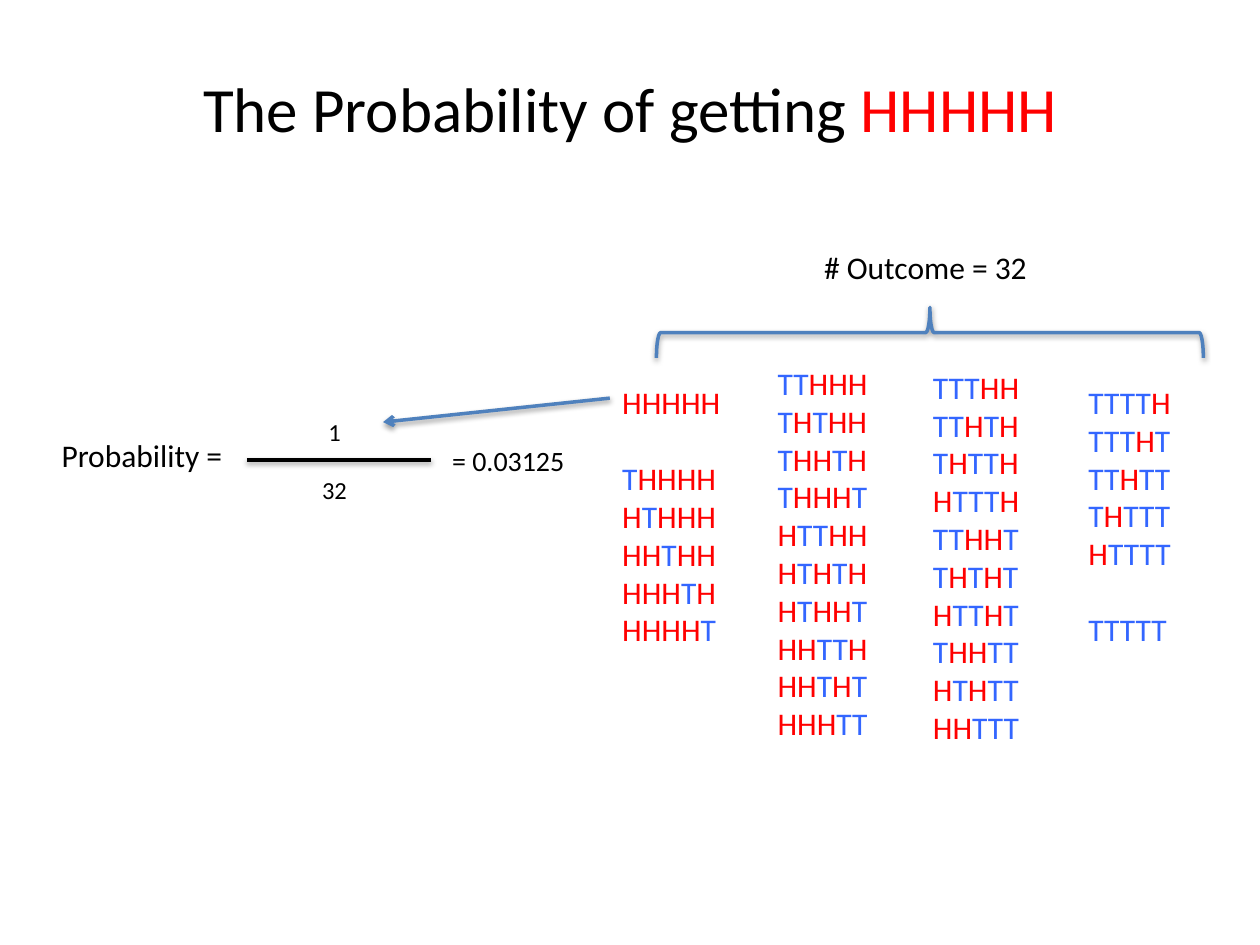
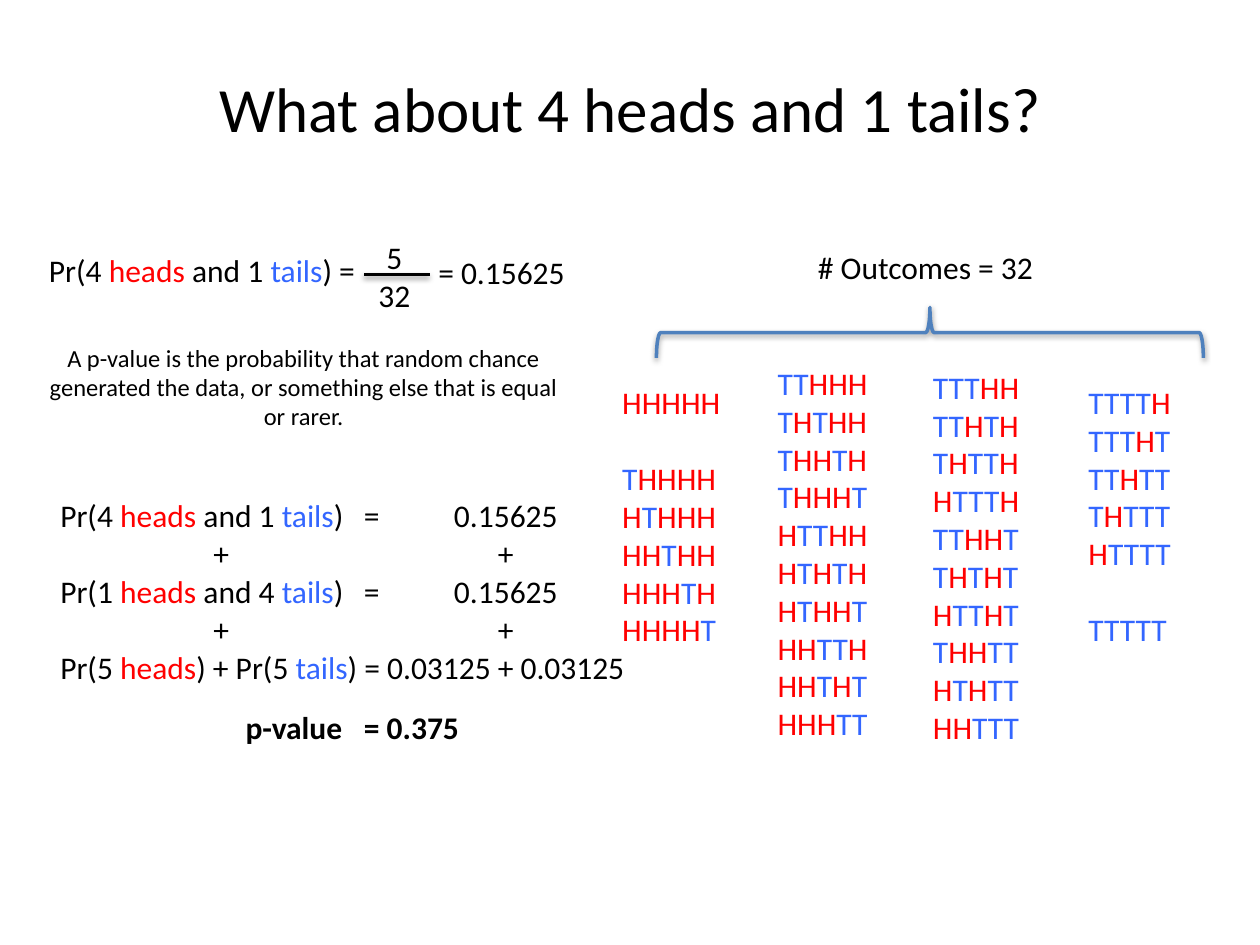
from itertools import groupby

from lxml.etree import SubElement
from pptx import Presentation
from pptx.dml.color import RGBColor
from pptx.enum.shapes import MSO_CONNECTOR, MSO_SHAPE
from pptx.enum.text import MSO_ANCHOR, PP_ALIGN
from pptx.oxml.ns import qn
from pptx.util import Inches, Pt

COLOURS = {"ink": "000000", "heads": "FF0000", "tails": "3366FF", "accent": "4F81BD"}
FONT = "Calibri"
COIN_SIDES = {"H": "heads", "T": "tails"}
SHADOW = {"blurRad": Pt(3.1), "dist": Pt(1.6), "dir": 90 * 60000, "rotWithShape": 0}

# Top of each column, then its groups of outcomes
OUTCOME_COLUMNS = [
    (2.99, ["HHHHH", "THHHH HTHHH HHTHH HHHTH HHHHT"]),
    (2.84, ["TTHHH THTHH THHTH THHHT HTTHH HTHTH HTHHT HHTTH HHTHT HHHTT"]),
    (2.87, ["TTTHH TTHTH THTTH HTTTH TTHHT THTHT HTTHT THHTT HTHTT HHTTT"]),
    (2.99, ["TTTTH TTTHT TTHTT THTTT HTTTT", "TTTTT"]),
]
FIRST_COLUMN = 4.84
COLUMN_STEP = 3.7 / 3
LINE_HEIGHT = 0.3


def colour(name):
    return RGBColor.from_string(COLOURS[name])


def coin_runs(outcome):
    """Split an outcome into runs of equal coin sides."""
    return [("".join(letters), COIN_SIDES[side]) for side, letters in groupby(outcome)]


def marked_runs(text):
    """Split text at bars; the parts named heads and tails take their colours."""
    return [(part, part if part in COIN_SIDES.values() else "ink")
            for part in text.split("|")]


def add_text(slide, box, paragraphs, size=18, align=PP_ALIGN.LEFT,
             anchor=MSO_ANCHOR.TOP, bold=False):
    """Add a text box; each paragraph is a list of (text, colour name) runs."""
    shape = slide.shapes.add_textbox(*map(Inches, box))
    frame = shape.text_frame
    frame.word_wrap = True
    frame.vertical_anchor = anchor
    font_format = {"name": FONT, "size": Pt(size), "bold": bold}
    for index, runs in enumerate(paragraphs):
        paragraph = frame.add_paragraph() if index else frame.paragraphs[0]
        paragraph.alignment = align
        for text, colour_name in runs:
            run = paragraph.add_run()
            run.text = text
            for attribute, value in font_format.items():
                setattr(run.font, attribute, value)
            run.font.color.rgb = colour(colour_name)
    return shape


def add_label(slide, box, text, **options):
    return add_text(slide, box, [marked_runs(text)], **options)


def add_title(slide, runs):
    add_text(slide, (0.5, 0.23, 9, 1.25), [runs], size=36,
             align=PP_ALIGN.CENTER, anchor=MSO_ANCHOR.MIDDLE)


def set_tab_stop(paragraph, position):
    tabs = SubElement(paragraph._p.get_or_add_pPr(), qn("a:tabLst"))
    SubElement(tabs, qn("a:tab"), pos=str(Inches(position)), algn="l")


def style_line(shape, colour_name, arrow=False):
    """Set a 2 pt line, an optional arrowhead at its end, and a soft shadow."""
    shape.line.color.rgb = colour(colour_name)
    shape.line.width = Pt(2)
    properties = shape._element.spPr
    if arrow:
        SubElement(properties.find(qn("a:ln")), qn("a:tailEnd"), type="arrow")
    effects = SubElement(properties, qn("a:effectLst"))
    attributes = {name: str(int(value)) for name, value in SHADOW.items()}
    shadow = SubElement(effects, qn("a:outerShdw"), attributes)
    shade = SubElement(shadow, qn("a:srgbClr"), val=COLOURS["ink"])
    SubElement(shade, qn("a:alpha"), val="38000")


def add_line(slide, start, end, colour_name="ink", arrow=False):
    connector = slide.shapes.add_connector(
        MSO_CONNECTOR.STRAIGHT, *map(Inches, start + end))
    style_line(connector, colour_name, arrow)


def add_outcome_column(slide, left, top, groups):
    outcomes = [outcome for group in groups for outcome in group.split()]
    height = LINE_HEIGHT * (len(outcomes) + len(groups) - 1) + 0.1
    shape = add_text(slide, (left, top, 1.23, height), map(coin_runs, outcomes))
    group_start = 0
    for group in groups[:-1]:
        group_start += len(group.split())
        shape.text_frame.paragraphs[group_start].space_before = Pt(22)


def add_outcomes(slide, caption):
    """Add the captioned brace over the four columns of outcomes."""
    brace = slide.shapes.add_shape(
        MSO_SHAPE.LEFT_BRACE, *map(Inches, (7.18, 0.47, 0.4, 4.34)))
    brace.rotation = 90
    brace.fill.background()
    style_line(brace, "accent")
    for index, (top, groups) in enumerate(OUTCOME_COLUMNS):
        add_outcome_column(slide, FIRST_COLUMN + index * COLUMN_STEP, top, groups)
    add_label(slide, (6.07, 1.92, 2.55, 0.4), caption, align=PP_ALIGN.CENTER)


def build_all_heads(slide):
    add_title(slide, [("The Probability of getting ", "ink"), ("HHHHH", "heads")])
    add_outcomes(slide, "# Outcome = 32")
    for top, number in ((3.26, "1"), (3.72, "32")):
        add_label(slide, (1.89, top, 1.53, 0.34), number, size=14,
                  align=PP_ALIGN.CENTER)
    add_line(slide, (1.96, 3.65), (3.42, 3.65))
    add_label(slide, (0.39, 3.41, 1.86, 0.4), "Probability =")
    add_label(slide, (3.49, 3.47, 1.25, 0.37), "= 0.03125", size=16)
    add_line(slide, (4.84, 3.16), (3.04, 3.35), "accent", arrow=True)


def add_p_value_sum(slide):
    terms = ["Pr(4 |heads| and 1 |tails|)\t=", "+",
             "Pr(1 |heads| and 4 |tails|)\t=", "+",
             "Pr(5 |heads|) + Pr(5 |tails|) ="]
    values = ["0.15625", "+", "0.15625", "+", "0.03125 + 0.03125"]
    shape = add_text(slide, (0.38, 3.89, 2.75, 1.62), map(marked_runs, terms))
    for paragraph, term in zip(shape.text_frame.paragraphs, terms):
        if term == "+":
            paragraph.alignment = PP_ALIGN.CENTER
        elif "\t" in term:
            set_tab_stop(paragraph, 2.41)
    add_text(slide, (2.8, 3.89, 2.43, 1.62), map(marked_runs, values),
             align=PP_ALIGN.CENTER)
    total = add_label(slide, (1.85, 5.57, 2.15, 0.4), "p-value\t= 0.375", bold=True)
    set_tab_stop(total.text_frame.paragraphs[0], 0.94)


def build_four_heads(slide):
    add_title(slide, [("What about 4 heads and 1 tails?", "ink")])
    add_outcomes(slide, "# Outcomes = 32")
    add_label(slide, (0.29, 1.94, 3.65, 0.4), "Pr(4 |heads| and 1 |tails|) =")
    add_text(slide, (2.48, 1.84, 1.3, 0.71), map(marked_runs, ("5", "32")),
             align=PP_ALIGN.CENTER)
    add_line(slide, (2.89, 2.18), (3.41, 2.18))
    add_label(slide, (3.38, 1.96, 1.25, 0.4), "= 0.15625")
    add_label(slide, (0.19, 2.67, 4.44, 0.81),
              "A p-value is the probability that random chance generated the data, "
              "or something else that is equal or rarer.",
              size=14, align=PP_ALIGN.CENTER)
    add_p_value_sum(slide)


def main():
    presentation = Presentation()
    presentation.slide_width = Inches(10)
    presentation.slide_height = Inches(7.5)
    blank_layout = presentation.slide_layouts[6]
    for build in (build_all_heads, build_four_heads):
        build(presentation.slides.add_slide(blank_layout))
    presentation.save("out.pptx")


if __name__ == "__main__":
    main()
